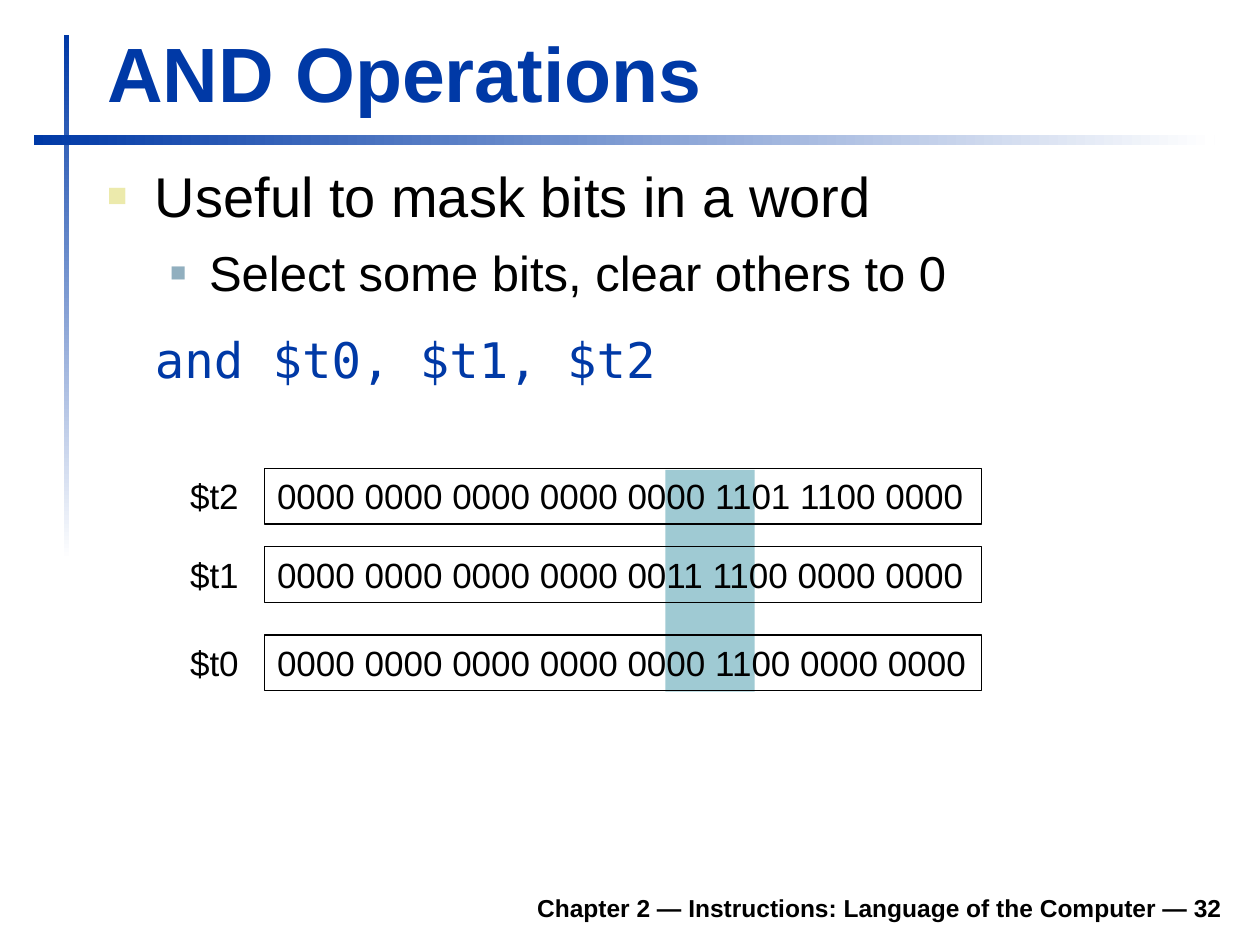
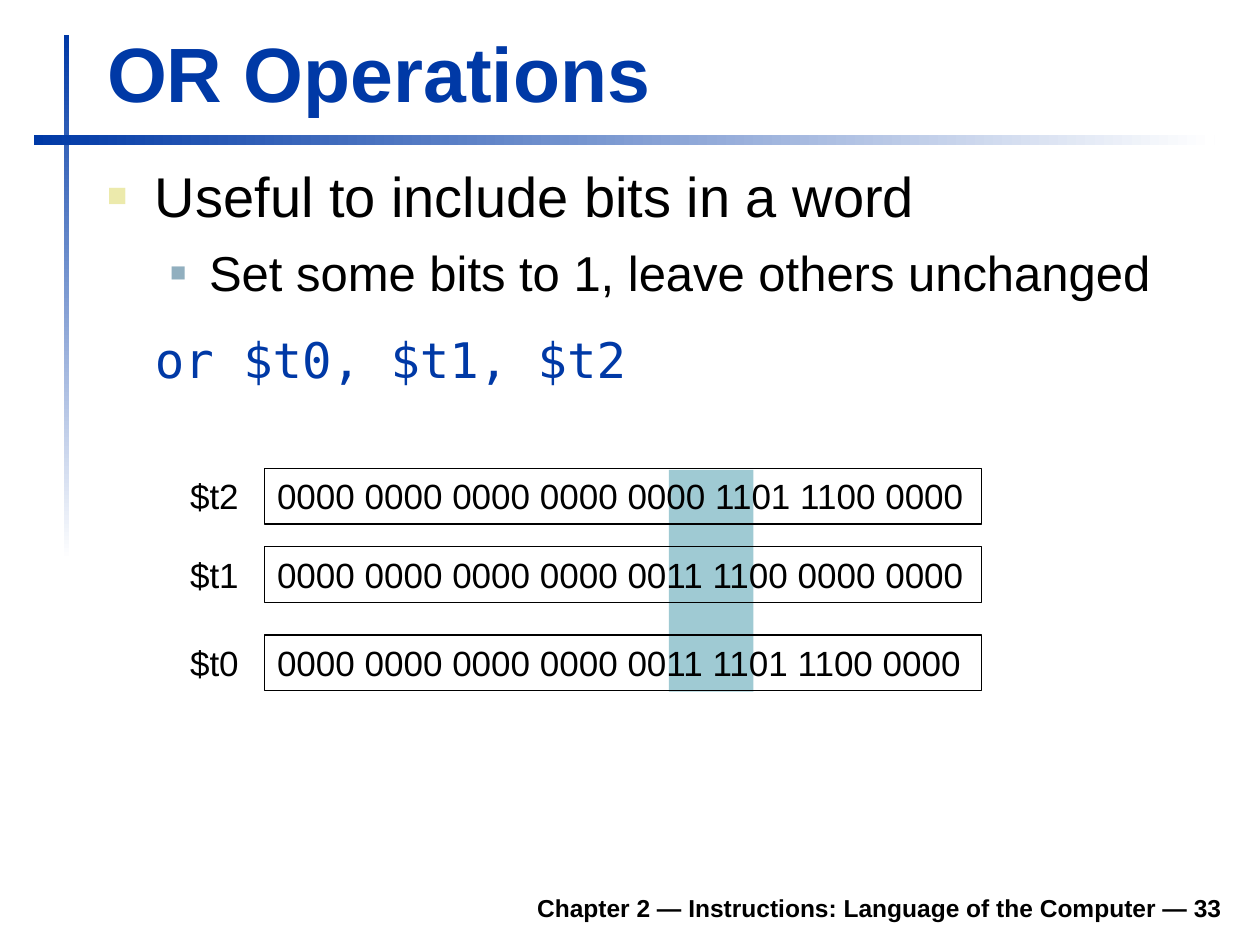
import pptx
from dataclasses import dataclass
from lxml import etree
from pptx.dml.color import RGBColor
from pptx.enum.shapes import MSO_SHAPE
from pptx.enum.text import MSO_ANCHOR, MSO_AUTO_SIZE, PP_ALIGN
from pptx.oxml.ns import qn
from pptx.util import Inches, Pt


@dataclass(frozen=True)
class Theme:
    blue: str = "0039A6"
    white: str = "FFFFFF"
    black: str = "000000"
    mask: str = "9FCAD3"
    sans: str = "Arial"
    mono: str = "DejaVu Sans Mono"
    title: int = 44
    lead: int = 32
    sub: int = 28
    bits: int = 20
    foot: int = 14


THEME = Theme()
FOOTER = "Chapter 2 — Instructions: Language of the Computer — {}"
T2 = "0000 0000 0000 0000 0000 1101 1100 0000"
T1 = "0000 0000 0000 0000 0011 1100 0000 0000"
SLIDES = [
    dict(
        page=32,
        title="AND Operations",
        lead="Useful to mask bits in a word",
        sub="Select some bits, clear others to 0",
        code="and $t0, $t1, $t2",
        result="0000 0000 0000 0000 0000 1100 0000 0000",
        mask=(5.28, 0.71),
    ),
    dict(
        page=33,
        title="OR Operations",
        lead="Useful to include bits in a word",
        sub="Set some bits to 1, leave others unchanged",
        code="or $t0, $t1, $t2",
        result="0000 0000 0000 0000 0011 1101 1100 0000",
        mask=(5.31, 0.67),
    ),
]
# left, top, width, height, gradient angle
BARS = [(0.51, 0.28, 0.04, 4.17, 270), (0.27, 1.07, 9.37, 0.08, 0)]
ROW_TOPS = [3.72, 4.34, 5.04]
# level, size, left margin, indent, space before, bullet colour, bullet percent
STYLES = {
    "lead": (0, THEME.lead, 0.38, -0.38, 0, "ECEAAC", 60),
    "sub": (1, THEME.sub, 0.81, -0.31, 8, "91AFBF", 55),
    "code": (0, THEME.sub, 0.38, 0, 16, None, None),
}


def style(para, size, color=THEME.black, face=THEME.sans, bold=False):
    font = para.font
    font.size, font.name, font.bold = Pt(size), face, bold
    font.color.rgb = RGBColor.from_string(color)


def place(shape, left, top, width, height):
    shape.left, shape.top = Inches(left), Inches(top)
    shape.width, shape.height = Inches(width), Inches(height)


def add_rect(slide, *box):
    rect = slide.shapes.add_shape(MSO_SHAPE.RECTANGLE, *map(Inches, box))
    rect.shadow.inherit = False
    rect.line.fill.background()
    return rect


def add_bar(slide, left, top, width, height, angle):
    fill = add_rect(slide, left, top, width, height).fill
    fill.gradient()
    fill.gradient_angle = angle
    for stop, color in zip(fill.gradient_stops, (THEME.blue, THEME.white)):
        stop.color.rgb = RGBColor.from_string(color)


def write(shape, text, size, anchor=MSO_ANCHOR.TOP, align=PP_ALIGN.LEFT, **look):
    frame = shape.text_frame
    frame.word_wrap = True
    frame.auto_size = MSO_AUTO_SIZE.NONE
    frame.vertical_anchor = anchor
    frame.text = text
    para = frame.paragraphs[0]
    para.alignment = align
    style(para, size, **look)
    return frame


def set_bullet(para, margin, indent, color, percent):
    """Set the indents, and a square bullet unless color is None."""
    props = para._p.get_or_add_pPr()
    props.set("marL", str(Inches(margin)))
    props.set("indent", str(Inches(indent)))
    if color is None:
        etree.SubElement(props, qn("a:buNone"))
        return
    paint = etree.SubElement(props, qn("a:buClr"))
    etree.SubElement(paint, qn("a:srgbClr"), val=color)
    etree.SubElement(props, qn("a:buSzPct"), val=str(percent * 1000))
    etree.SubElement(props, qn("a:buFont"), typeface=THEME.sans)
    etree.SubElement(props, qn("a:buChar"), char="■")


def fill_body(body, data):
    place(body, 0.75, 1.23, 9.05, 2.27)
    frame = body.text_frame
    frame.auto_size = MSO_AUTO_SIZE.NONE
    frame.text = "\n".join(data[name] for name in STYLES)
    for para, (name, spec) in zip(frame.paragraphs, STYLES.items()):
        level, size, margin, indent, before, color, percent = spec
        para.level = level
        set_bullet(para, margin, indent, color, percent)
        para.space_before = Pt(before)
        if name == "code":
            style(para, size, THEME.blue, THEME.mono)
        else:
            style(para, size)


def add_row(slide, top, name, bits):
    label = slide.shapes.add_textbox(*map(Inches, (1.41, top, 0.59, 0.43)))
    write(label, name, THEME.bits).margin_right = 0
    box = add_rect(slide, 2.1, top, 5.69, 0.44)
    box.fill.background()
    box.line.color.rgb = RGBColor.from_string(THEME.black)
    box.line.width = Pt(0.75)
    write(box, bits, THEME.bits).margin_right = 0


def add_frame(slide, data):
    """Add the bars, title and footer that every slide has."""
    for bar in BARS:
        add_bar(slide, *bar)
    title = slide.shapes.title
    place(title, 0.75, 0.16, 9.03, 0.83)
    write(title, data["title"], THEME.title, MSO_ANCHOR.BOTTOM,
          color=THEME.blue, bold=True)
    foot = slide.shapes.add_textbox(*map(Inches, (1.85, 6.98, 7.95, 0.39)))
    write(foot, FOOTER.format(data["page"]), THEME.foot, MSO_ANCHOR.BOTTOM,
          PP_ALIGN.RIGHT, bold=True)


def main():
    deck = pptx.Presentation()
    deck.slide_width, deck.slide_height = Inches(10), Inches(7.5)
    for data in SLIDES:
        slide = deck.slides.add_slide(deck.slide_layouts[1])
        add_frame(slide, data)
        fill_body(slide.placeholders[1], data)
        left, width = data["mask"]
        mask = add_rect(slide, left, 3.73, width, 1.76)
        mask.fill.solid()
        mask.fill.fore_color.rgb = RGBColor.from_string(THEME.mask)
        rows = [("$t2", T2), ("$t1", T1), ("$t0", data["result"])]
        for top, (name, bits) in zip(ROW_TOPS, rows):
            add_row(slide, top, name, bits)
    deck.save("out.pptx")


if __name__ == "__main__":
    main()
